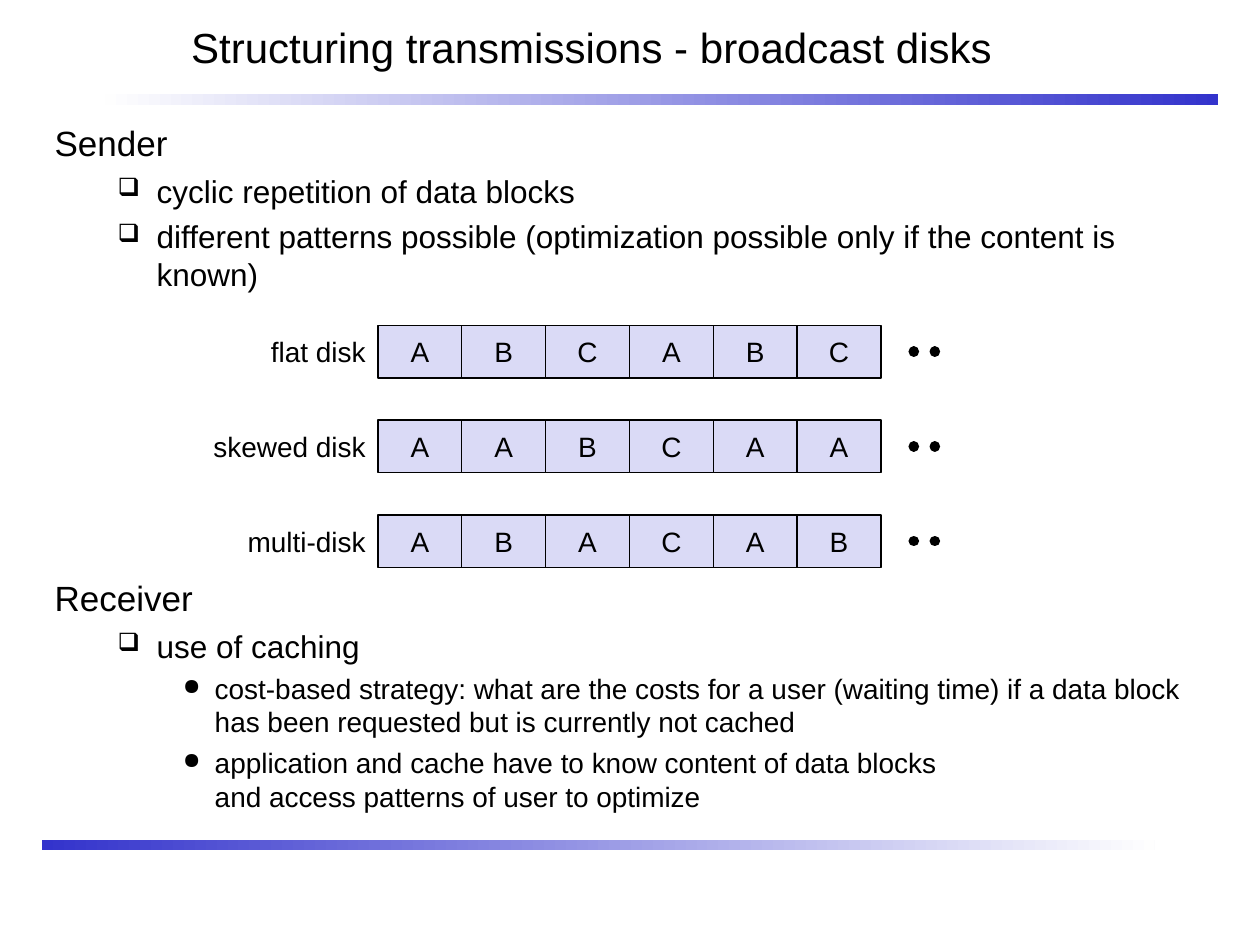
import dataclasses

import lxml.etree
import pptx
import pptx.dml.color
import pptx.enum.dml
import pptx.enum.shapes
import pptx.enum.text
import pptx.oxml
import pptx.oxml.ns
import pptx.util

Cm = pptx.util.Cm
Pt = pptx.util.Pt
RGBColor = pptx.dml.color.RGBColor
qn = pptx.oxml.ns.qn


@dataclasses.dataclass(frozen=True)
class Theme:
    font: str = "Arial"
    ink: RGBColor = RGBColor(0x00, 0x00, 0x00)
    accent: RGBColor = RGBColor(0x33, 0x33, 0xCC)
    fade: RGBColor = RGBColor(0xFE, 0xFE, 0xFE)
    block: RGBColor = RGBColor(0xDA, 0xDA, 0xF6)
    title_size: int = 24
    level_sizes: tuple = (20, 18, 16)
    diagram_size: int = 16


@dataclasses.dataclass(frozen=True)
class Level:
    margin: float
    indent: float
    space_before: float
    bullet: str


THEME = Theme()
LEVELS = (
    Level(0.95, -0.95, 5, ""),
    Level(2.06, -0.79, 4.5, "❑"),
    Level(3.23, -0.64, 4, "●"),
)
SENDER = (
    (0, "Sender"),
    (1, "cyclic repetition of data blocks"),
    (1, "different patterns possible (optimization possible only if the content is known)"),
)
RECEIVER = (
    (0, "Receiver"),
    (1, "use of caching"),
    (2, "cost-based strategy: what are the costs for a user (waiting time) "
        "if a data block has been requested but is currently not cached"),
    (2, "application and cache have to know content of data blocks \vand access patterns of user to optimize"),
)
DISKS = (("flat disk", "ABCABC"), ("skewed disk", "AABCAA"), ("multi-disk", "ABACAB"))
BLOCK_LEFT, BLOCK_WIDTH, BLOCK_HEIGHT = 7.62, 1.69, 1.06
DISK_TOP, DISK_PITCH = 6.56, 1.91
LABEL_WIDTH = 4
DOTS_LEFT, DOTS_RIGHT = 18.42, 19.26


def format_runs(paragraph, size):
    for run in paragraph.runs:
        run.font.name = THEME.font
        run.font.size = Pt(size)
        run.font.color.rgb = THEME.ink


def set_line_of_text(shape, text, size, alignment):
    frame = shape.text_frame
    frame.text = text
    frame.word_wrap = True
    frame.vertical_anchor = pptx.enum.text.MSO_ANCHOR.MIDDLE
    paragraph = frame.paragraphs[0]
    paragraph.alignment = alignment
    format_runs(paragraph, size)


def set_bullet(paragraph, level):
    properties = paragraph._p.get_or_add_pPr()
    properties.set("marL", str(Cm(level.margin)))
    properties.set("indent", str(Cm(level.indent)))
    if not level.bullet:
        lxml.etree.SubElement(properties, qn("a:buNone"))
        return
    color = lxml.etree.SubElement(properties, qn("a:buClr"))
    lxml.etree.SubElement(color, qn("a:srgbClr"), val=str(THEME.ink))
    lxml.etree.SubElement(properties, qn("a:buSzPct"), val="80000")
    lxml.etree.SubElement(properties, qn("a:buChar"), char=level.bullet)


def add_title(slide, text):
    title = slide.shapes.title
    title.left, title.top, title.width, title.height = Cm(3.6), Cm(0), Cm(21.4), Cm(1.9)
    set_line_of_text(title, text, THEME.title_size, pptx.enum.text.PP_ALIGN.LEFT)


def add_gradient_bar(slide, left, top, start_color, end_color):
    bar = slide.shapes.add_shape(
        pptx.enum.shapes.MSO_SHAPE.RECTANGLE, Cm(left), Cm(top), Cm(22.43), Cm(0.21))
    bar.shadow.inherit = False
    bar.line.fill.background()
    bar.fill.gradient()
    bar.fill.gradient_angle = 0
    for stop, color in zip(bar.fill.gradient_stops, (start_color, end_color)):
        stop.color.rgb = color


def add_outline(slide, top, height, items):
    box = slide.shapes.add_textbox(Cm(0.85), Cm(top), Cm(23.7), Cm(height))
    frame = box.text_frame
    frame.word_wrap = True
    for index, (depth, text) in enumerate(items):
        paragraph = frame.add_paragraph() if index else frame.paragraphs[0]
        paragraph.text = text
        paragraph.level = depth
        set_bullet(paragraph, LEVELS[depth])
        if index:
            paragraph.space_before = Pt(LEVELS[depth].space_before)
        format_runs(paragraph, THEME.level_sizes[depth])


def add_block(group, left, top, text):
    block = group.shapes.add_shape(
        pptx.enum.shapes.MSO_SHAPE.RECTANGLE,
        Cm(left), Cm(top), Cm(BLOCK_WIDTH), Cm(BLOCK_HEIGHT))
    block.shadow.inherit = False
    block.fill.solid()
    block.fill.fore_color.rgb = THEME.block
    block.line.color.rgb = THEME.ink
    block.line.width = Pt(0.75)
    set_line_of_text(block, text, THEME.diagram_size, pptx.enum.text.PP_ALIGN.CENTER)


def add_continuation_dots(group, center):
    dots = group.shapes.add_connector(
        pptx.enum.shapes.MSO_CONNECTOR.STRAIGHT,
        Cm(DOTS_LEFT), Cm(center), Cm(DOTS_RIGHT), Cm(center))
    dots.line.color.rgb = THEME.ink
    dots.line.width = Pt(6)
    dots.line.dash_style = pptx.enum.dml.MSO_LINE.ROUND_DOT
    dots.line._get_or_add_ln().set("cap", "rnd")
    lxml.etree.SubElement(dots._element.spPr, qn("a:effectLst"))


def add_disk(slide, top, name, sequence):
    group = slide.shapes.add_group_shape()
    for column, letter in enumerate(sequence):
        add_block(group, BLOCK_LEFT + column * BLOCK_WIDTH, top, letter)
    add_continuation_dots(group, top + BLOCK_HEIGHT / 2)
    label = group.shapes.add_textbox(
        Cm(BLOCK_LEFT - LABEL_WIDTH), Cm(top), Cm(LABEL_WIDTH), Cm(BLOCK_HEIGHT))
    set_line_of_text(label, name, THEME.diagram_size, pptx.enum.text.PP_ALIGN.RIGHT)


def main():
    presentation = pptx.Presentation()
    presentation.slide_width, presentation.slide_height = Cm(25.4), Cm(19.05)
    slide = presentation.slides.add_slide(presentation.slide_layouts[5])
    add_title(slide, "Structuring transmissions - broadcast disks")
    add_gradient_bar(slide, 2.12, 1.9, THEME.fade, THEME.accent)
    add_gradient_bar(slide, 0.85, 16.93, THEME.accent, THEME.fade)
    add_outline(slide, 2.33, 3.9, SENDER)
    add_outline(slide, 11.5, 5.2, RECEIVER)
    for row, (name, sequence) in enumerate(DISKS):
        add_disk(slide, DISK_TOP + row * DISK_PITCH, name, sequence)
    presentation.save("out.pptx")


if __name__ == "__main__":
    main()
